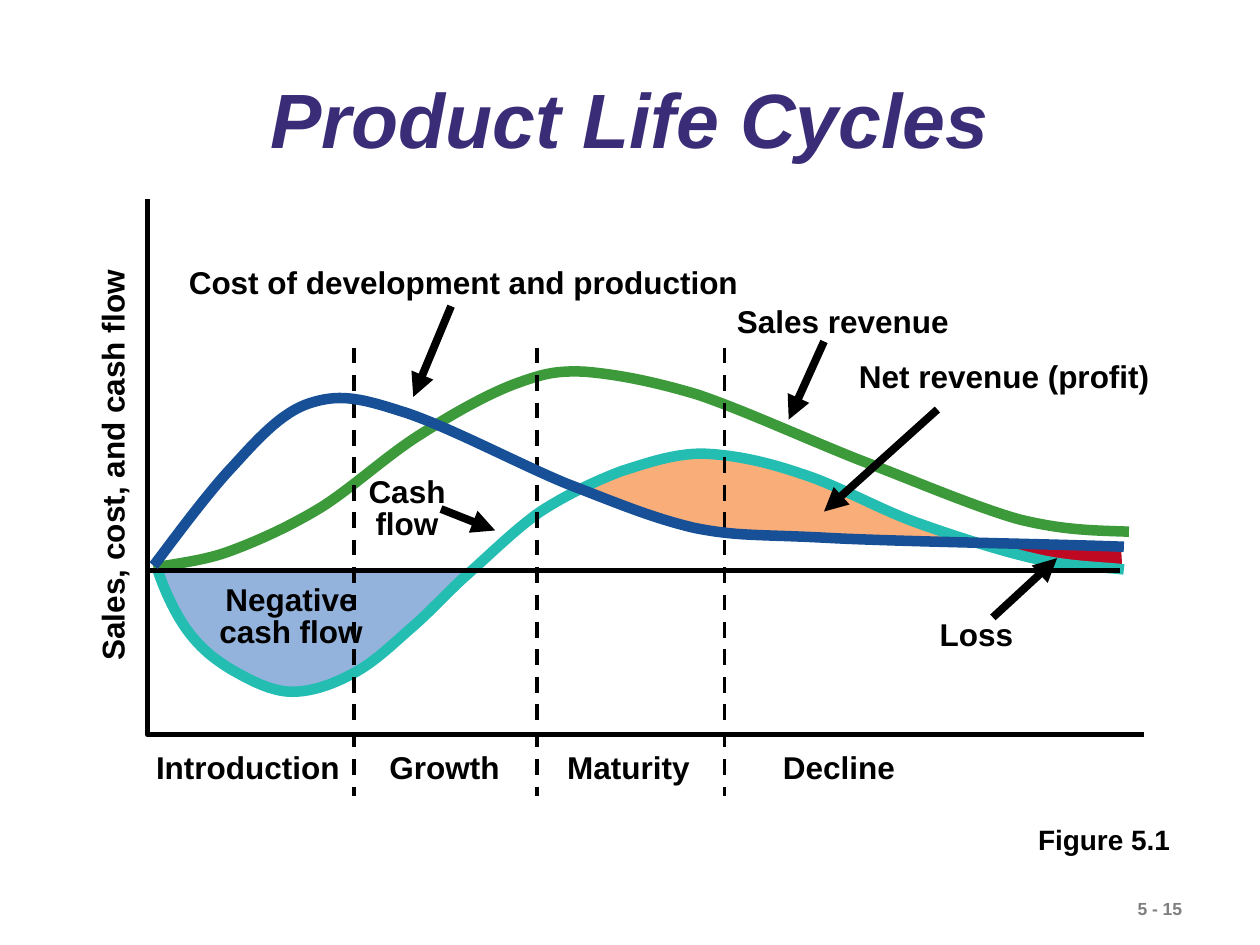
"""Build the product life cycle slide."""

from dataclasses import dataclass
from typing import NamedTuple, Optional

from lxml.etree import SubElement
from pptx import Presentation
from pptx.dml.color import RGBColor
from pptx.enum.dml import MSO_LINE
from pptx.enum.shapes import MSO_CONNECTOR
from pptx.enum.text import MSO_ANCHOR, MSO_AUTO_SIZE, PP_ALIGN
from pptx.oxml.ns import qn
from pptx.util import Emu, Inches, Pt


@dataclass(frozen=True)
class Theme:
    font: str = "Arial"
    ink: str = "000000"
    title: str = "3A2C76"
    number: str = "7F7F7F"
    profit: str = "F9AD78"
    loss: str = "BF0922"
    negative: str = "93B3DD"
    cash: str = "24BDB2"
    sales: str = "3D9A3A"
    cost: str = "175097"
    title_size: float = 44
    label_size: float = 18
    caption_size: float = 16
    number_size: float = 10
    curve: float = 6
    arrow: float = 4.5
    axis: float = 3
    dash: float = 2.25


@dataclass(frozen=True)
class Grid:
    columns: float = 10
    rows: float = 7.5
    width: int = Inches(10)
    height: int = Inches(7.5)

    def x(self, column: float) -> Emu:
        return Emu(round(column * self.width / self.columns))

    def y(self, row: float) -> Emu:
        return Emu(round(row * self.height / self.rows))

    def frame(self, left: float, top: float, width: float, height: float) -> tuple:
        return self.x(left), self.y(top), self.x(width), self.y(height)


THEME = Theme()
GRID = Grid()


class Outline(NamedTuple):
    start: tuple
    segments: list
    fill: Optional[str] = None
    line: Optional[str] = None
    weight: float = THEME.curve


class Label(NamedTuple):
    text: str
    frame: tuple
    wrap: bool = False
    align: PP_ALIGN = PP_ALIGN.LEFT
    spacing: float = 1.0
    rotation: float = 0
    size: float = THEME.label_size
    color: str = THEME.ink
    tabs: tuple = ()


class Line(NamedTuple):
    start: tuple
    end: tuple
    weight: float = THEME.arrow
    dashed: bool = False
    arrow: bool = True


CENTERED = {"align": PP_ALIGN.CENTER, "spacing": 0.85}

AREAS = [
    Outline((4.61, 3.88), [
        [(4.88, 3.76)], [(5.31, 3.63)], [(5.65, 3.6)], [(6.2, 3.71)], [(6.91, 3.99)],
        [(7.12, 4.06), (7.27, 4.15), (7.42, 4.2)], [(7.56, 4.25), (7.88, 4.29), (7.72, 4.3)],
        [(6.43, 4.27)], [(5.69, 4.22)], [(5.49, 4.2), (5.38, 4.15), (5.24, 4.11)],
        [(5.1, 4.07), (4.96, 4.03), (4.86, 3.99)]], fill=THEME.profit),
    Outline((7.81, 4.32), [
        [(7.92, 4.34), (8.72, 4.32), (8.9, 4.33)], [(8.9, 4.45), (8.91, 4.45), (8.9, 4.51)],
        [(8.7, 4.5), (8.49, 4.49), (8.49, 4.49)], [(8.08, 4.4)], [(7.85, 4.32)]], fill=THEME.loss),
    Outline((1.26, 4.51), [
        [(1.34, 4.74)], [(1.5, 5.02)], [(1.7, 5.21)], [(2.1, 5.43)], [(2.32, 5.48)],
        [(2.62, 5.42)], [(3.02, 5.2)], [(3.31, 4.91)], [(3.63, 4.63)], [(3.72, 4.52)]],
        fill=THEME.negative),
]
CASH_CURVE = Outline((1.25, 4.52), [
    [(1.31, 4.7), (1.4, 4.89), (1.5, 5.02)], [(1.6, 5.15), (1.7, 5.23), (1.83, 5.31)],
    [(1.97, 5.39), (2.15, 5.49), (2.32, 5.49)], [(2.49, 5.49), (2.67, 5.42), (2.83, 5.33)],
    [(2.99, 5.24), (3.13, 5.1), (3.28, 4.97)], [(3.43, 4.84), (3.55, 4.7), (3.72, 4.55)],
    [(3.89, 4.4), (4.09, 4.2), (4.29, 4.06)], [(4.49, 3.93), (4.72, 3.82), (4.93, 3.74)],
    [(5.15, 3.67), (5.35, 3.6), (5.58, 3.6)], [(5.82, 3.61), (6.07, 3.66), (6.36, 3.76)],
    [(6.65, 3.85), (6.99, 4.05), (7.31, 4.16)], [(7.62, 4.27), (7.97, 4.38), (8.24, 4.44)],
    [(8.51, 4.5), (8.77, 4.5), (8.92, 4.52)]], line=THEME.cash)
SALES_CURVE = Outline((1.22, 4.51), [
    [(1.32, 4.48), (1.59, 4.46), (1.81, 4.38)], [(2.03, 4.3), (2.3, 4.18), (2.56, 4.02)],
    [(2.81, 3.86), (3.09, 3.6), (3.35, 3.44)], [(3.6, 3.28), (3.87, 3.13), (4.08, 3.05)],
    [(4.3, 2.97), (4.4, 2.94), (4.64, 2.95)], [(4.88, 2.97), (5.16, 3.02), (5.53, 3.13)],
    [(5.89, 3.25), (6.39, 3.48), (6.82, 3.65)], [(7.24, 3.81), (7.73, 4.02), (8.08, 4.12)],
    [(8.44, 4.21), (8.68, 4.21), (8.96, 4.22)]], line=THEME.sales)
COST_CURVE = Outline((1.22, 4.49), [
    [(1.32, 4.36), (1.64, 3.92), (1.85, 3.7)], [(2.05, 3.48), (2.24, 3.27), (2.46, 3.2)],
    [(2.68, 3.13), (2.83, 3.15), (3.17, 3.26)], [(3.51, 3.36), (4.11, 3.68), (4.5, 3.84)],
    [(4.89, 3.99), (5.17, 4.11), (5.51, 4.19)], [(5.86, 4.26), (6.02, 4.24), (6.58, 4.27)],
    [(7.15, 4.3), (8.43, 4.32), (8.92, 4.34)]], line=THEME.cost)
AXES = Outline((1.17, 1.58), [[(1.17, 5.83)], [(9.08, 5.83)]], line=THEME.ink, weight=THEME.axis)
PHASE_BORDERS = [Line((column, 2.76), (column, 6.32), THEME.dash, True, False)
                 for column in (2.81, 4.26, 5.75)]

ELEMENTS = [
    Label("5 - 15", (8.93, 7.08, 1.07, 0.27), size=THEME.number_size, color=THEME.number),
    *AREAS, CASH_CURVE, SALES_CURVE,
    Label("Negative cash flow", (1.51, 4.6, 1.6, 0.61), wrap=True, **CENTERED),
    AXES,
    Label("Introduction\tGrowth\tMaturity\tDecline", (1.14, 5.89, 6.2, 0.4),
          tabs=(2.29, 3.75, 5.42)),
    Label("Sales, cost, and cash flow", (-0.76, 3.49, 3.3, 0.4), rotation=270),
    *PHASE_BORDERS,
    Line((1.17, 4.53), (8.89, 4.53), THEME.axis, arrow=False),
    COST_CURVE,
    Label("Cost of development and production", (1.4, 2.04, 4.62, 0.4)),
    Line((3.58, 2.43), (3.28, 3.15)),
    Label("Cash flow", (2.69, 3.74, 1.08, 0.61), wrap=True, **CENTERED),
    Line((3.5, 4.04), (3.93, 4.21)),
    Label("Net revenue (profit)", (6.67, 2.83, 2.6, 0.36), **CENTERED),
    Line((7.44, 3.25), (6.54, 4.06)),
    Label("Sales revenue", (5.75, 2.35, 1.94, 0.4)),
    Line((6.54, 2.71), (6.26, 3.33)),
    Label("Loss", (7.36, 4.83, 0.86, 0.4)),
    Line((7.88, 4.9), (8.39, 4.43)),
    Label("Figure 5.1", (8.14, 6.48, 1.32, 0.37), size=THEME.caption_size),
]


def apply(target: object, values: dict) -> None:
    for name, value in values.items():
        setattr(target, name, value)


def write(para, text: str, size: float, color: str, italic: bool = False) -> None:
    span = para.add_run()
    span.text = text
    apply(span.font, {"name": THEME.font, "size": Pt(size), "bold": True, "italic": italic})
    span.font.color.rgb = RGBColor.from_string(color)


def draw_outline(slide, outline: Outline) -> None:
    points = [(GRID.x(x), GRID.y(y)) for segment in outline.segments for x, y in segment]
    start_x, start_y = outline.start
    builder = slide.shapes.build_freeform(GRID.x(start_x), GRID.y(start_y))
    builder.add_line_segments(points, close=outline.fill is not None)
    shape = builder.convert_to_shape()
    shape.shadow.inherit = False
    steps = iter(list(shape.element.iter(qn("a:lnTo"))))
    for segment in outline.segments:
        first, *others = [next(steps) for _ in segment]
        if others:
            first.tag = qn("a:cubicBezTo")
        for step in others:
            first.append(step[0])
            step.getparent().remove(step)
    for part, color in ((shape.fill, outline.fill), (shape.line.fill, outline.line)):
        if color:
            part.solid()
            part.fore_color.rgb = RGBColor.from_string(color)
        else:
            part.background()
    if outline.line:
        shape.line.width = Pt(outline.weight)


def draw_label(slide, label: Label) -> None:
    box = slide.shapes.add_textbox(*GRID.frame(*label.frame))
    box.rotation = label.rotation
    apply(box.text_frame, {"word_wrap": label.wrap, "auto_size": MSO_AUTO_SIZE.SHAPE_TO_FIT_TEXT})
    para = box.text_frame.paragraphs[0]
    if label.tabs:
        stops = SubElement(para._p.get_or_add_pPr(), qn("a:tabLst"))
        for column in label.tabs:
            SubElement(stops, qn("a:tab"), pos=str(GRID.x(column)), algn="ctr")
    apply(para, {"alignment": label.align, "line_spacing": label.spacing})
    write(para, label.text, label.size, label.color)


def draw_line(slide, line: Line) -> None:
    ends = [place(value) for point in (line.start, line.end)
            for place, value in zip((GRID.x, GRID.y), point)]
    connector = slide.shapes.add_connector(MSO_CONNECTOR.STRAIGHT, *ends)
    connector.line.color.rgb = RGBColor.from_string(THEME.ink)
    connector.line.width = Pt(line.weight)
    if line.dashed:
        connector.line.dash_style = MSO_LINE.DASH
    if line.arrow:
        SubElement(connector.line._get_or_add_ln(), qn("a:tailEnd"), type="triangle")
    SubElement(connector.element.spPr, qn("a:effectLst"))


def draw_title(slide, text: str) -> None:
    title = slide.shapes.title
    apply(title, dict(zip(("left", "top", "width", "height"), GRID.frame(0.75, 0.48, 8.5, 1))))
    apply(title.text_frame, {"word_wrap": True, "auto_size": MSO_AUTO_SIZE.NONE,
                             "vertical_anchor": MSO_ANCHOR.MIDDLE})
    para = title.text_frame.paragraphs[0]
    apply(para, {"alignment": PP_ALIGN.CENTER, "line_spacing": 0.9})
    write(para, text, THEME.title_size, THEME.title, italic=True)


def main() -> None:
    deck = Presentation()
    apply(deck, {"slide_width": GRID.width, "slide_height": GRID.height})
    slide = deck.slides.add_slide(deck.slide_layouts.get_by_name("Title Only"))
    draw_title(slide, "Product Life Cycles")
    painters = {Outline: draw_outline, Label: draw_label, Line: draw_line}
    for element in ELEMENTS:
        painters[type(element)](slide, element)
    deck.save("out.pptx")


if __name__ == "__main__":
    main()
